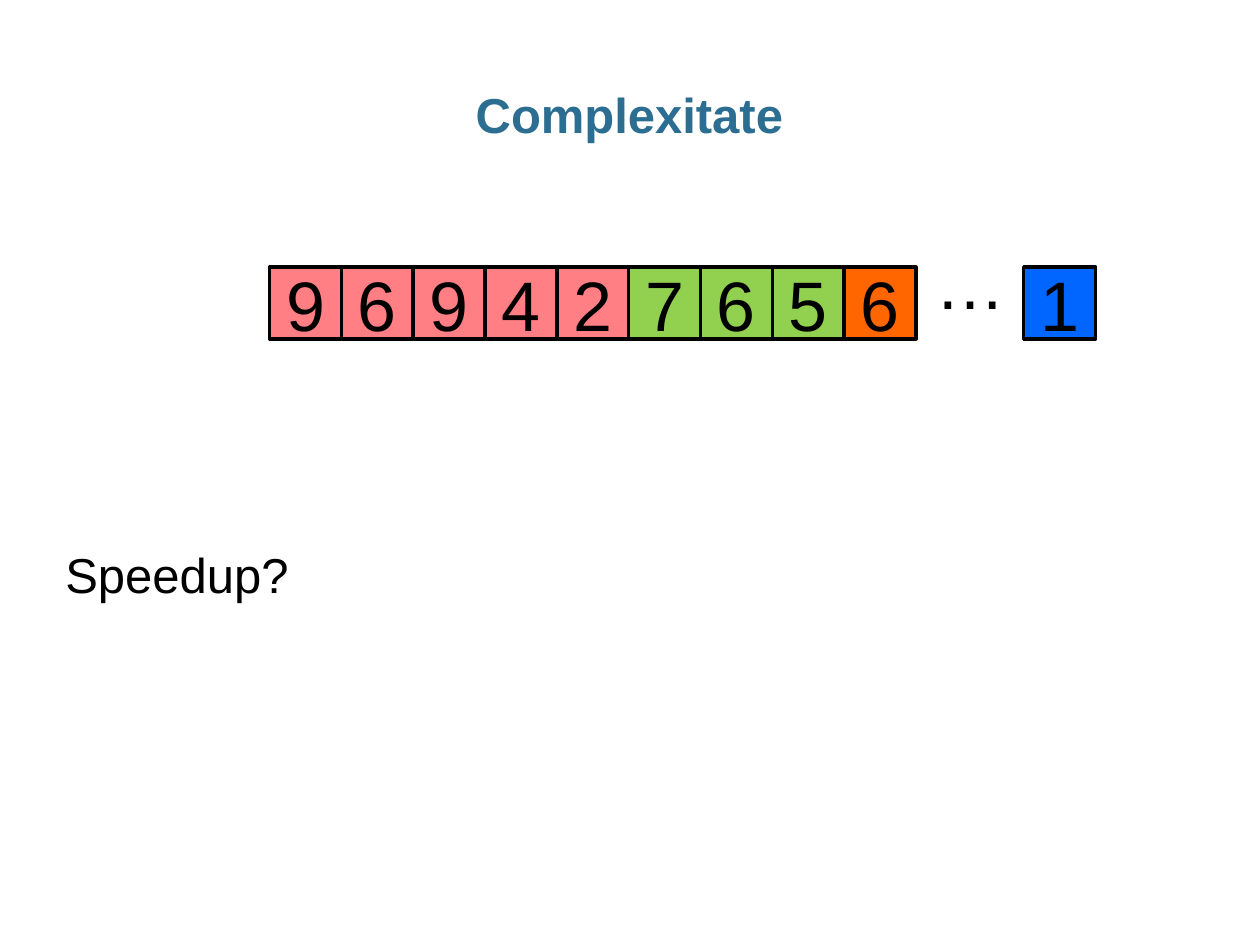
from dataclasses import dataclass

from pptx import Presentation
from pptx.dml.color import RGBColor
from pptx.enum.shapes import MSO_SHAPE
from pptx.enum.text import MSO_ANCHOR, MSO_AUTO_SIZE, PP_ALIGN
from pptx.slide import Slide
from pptx.text.text import TextFrame
from pptx.util import Inches, Pt


@dataclass(frozen=True)
class Theme:
    font: str = "Arial"
    title: str = "2C6D92"
    ink: str = "000000"
    red: str = "FF7F85"
    green: str = "92D050"
    orange: str = "FF6600"
    blue: str = "0066FF"
    text_size: int = 28
    digit_size: int = 40
    border: int = 2


@dataclass(frozen=True)
class Grid:
    left: float = 2.14
    top: float = 2.12
    cell: float = 0.57

    def column(self, index: float) -> float:
        return self.left + index * self.cell


@dataclass(frozen=True)
class Group:
    digits: str
    start: float
    fill: str


THEME = Theme()
GRID = Grid()
GROUPS = (
    Group("96942", 0, THEME.red),
    Group("765", 5, THEME.green),
    Group("6", 8, THEME.orange),
    Group("1", 10.5, THEME.blue),
)


def add_text(frame: TextFrame, text: str, size: int, color: str = THEME.ink,
             align: PP_ALIGN = PP_ALIGN.LEFT, bold: bool = False) -> None:
    para = frame.paragraphs[0]
    para.alignment = align
    span = para.add_run()
    span.text = text
    span.font.name = THEME.font
    span.font.size = Pt(size)
    span.font.bold = bold
    span.font.color.rgb = RGBColor.from_string(color)


def set_title(page: Slide, text: str) -> None:
    title = page.shapes.title
    title.left, title.top = Inches(0.34), Inches(0.68)
    title.width, title.height = Inches(9.31), Inches(0.5)
    frame = title.text_frame
    frame.auto_size = MSO_AUTO_SIZE.NONE
    frame.vertical_anchor = MSO_ANCHOR.MIDDLE
    frame.margin_left = frame.margin_right = 0
    add_text(frame, text, THEME.text_size, THEME.title, PP_ALIGN.CENTER, True)
    frame.paragraphs[0].line_spacing = 0.95


def add_label(page: Slide, text: str, left: float, top: float,
              width: float, height: float, size: int) -> None:
    box = page.shapes.add_textbox(Inches(left), Inches(top), Inches(width), Inches(height))
    frame = box.text_frame
    frame.word_wrap = False
    frame.auto_size = MSO_AUTO_SIZE.SHAPE_TO_FIT_TEXT
    add_text(frame, text, size)


def add_cell(page: Slide, digit: str, column: float, fill: str) -> None:
    side = Inches(GRID.cell)
    box = page.shapes.add_shape(
        MSO_SHAPE.RECTANGLE, Inches(GRID.column(column)), Inches(GRID.top), side, side)
    box.shadow.inherit = False
    box.fill.solid()
    box.fill.fore_color.rgb = RGBColor.from_string(fill)
    box.line.color.rgb = RGBColor.from_string(THEME.ink)
    box.line.width = Pt(THEME.border)
    box.text_frame.vertical_anchor = MSO_ANCHOR.MIDDLE
    add_text(box.text_frame, digit, THEME.digit_size, align=PP_ALIGN.CENTER)


def main() -> None:
    deck = Presentation()
    deck.slide_width, deck.slide_height = Inches(10), Inches(7.5)
    page = deck.slides.add_slide(deck.slide_layouts.get_by_name("Title Only"))
    set_title(page, "Complexitate")
    add_label(page, "Speedup?", 0.42, 4.27, 2, 0.57, THEME.text_size)
    for group in GROUPS:
        for offset, digit in enumerate(group.digits):
            add_cell(page, digit, group.start + offset, group.fill)
    add_label(page, "…", GRID.column(9.1), 1.85, 0.76, 0.77, THEME.digit_size)
    deck.save("out.pptx")


if __name__ == "__main__":
    main()
